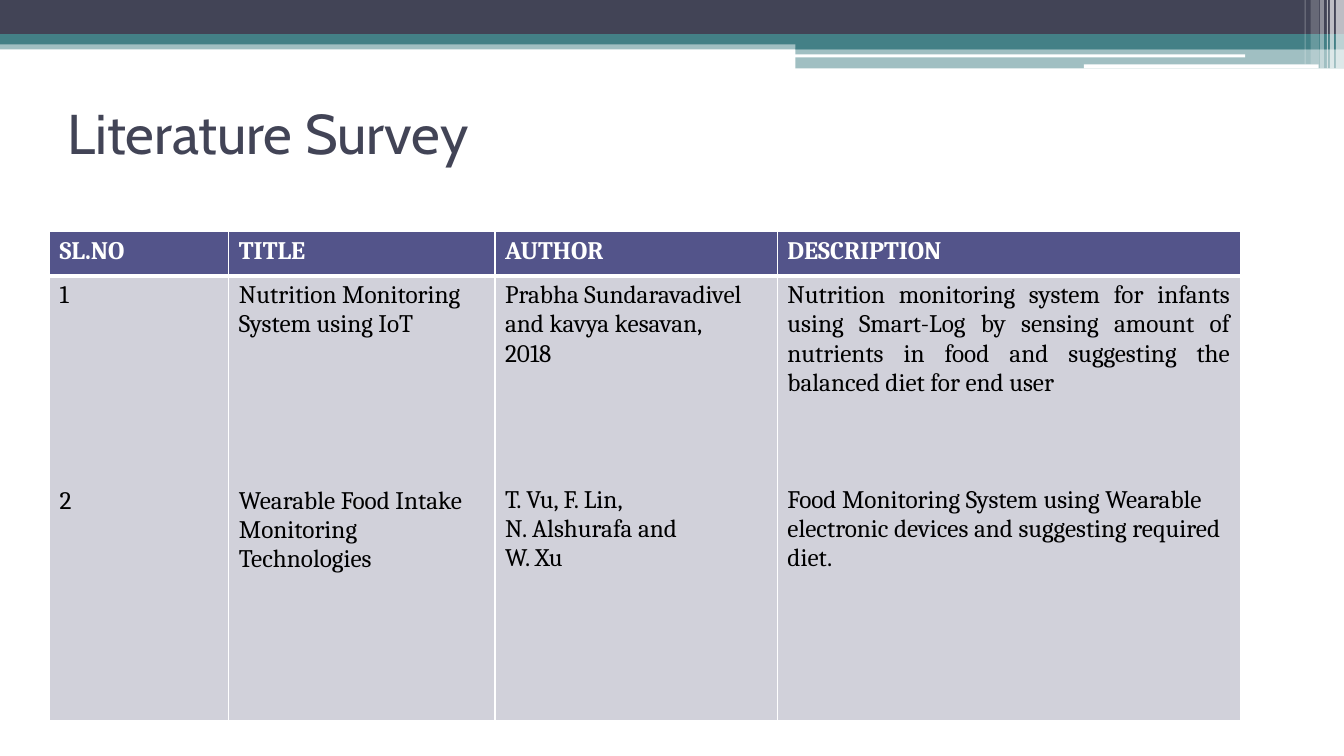
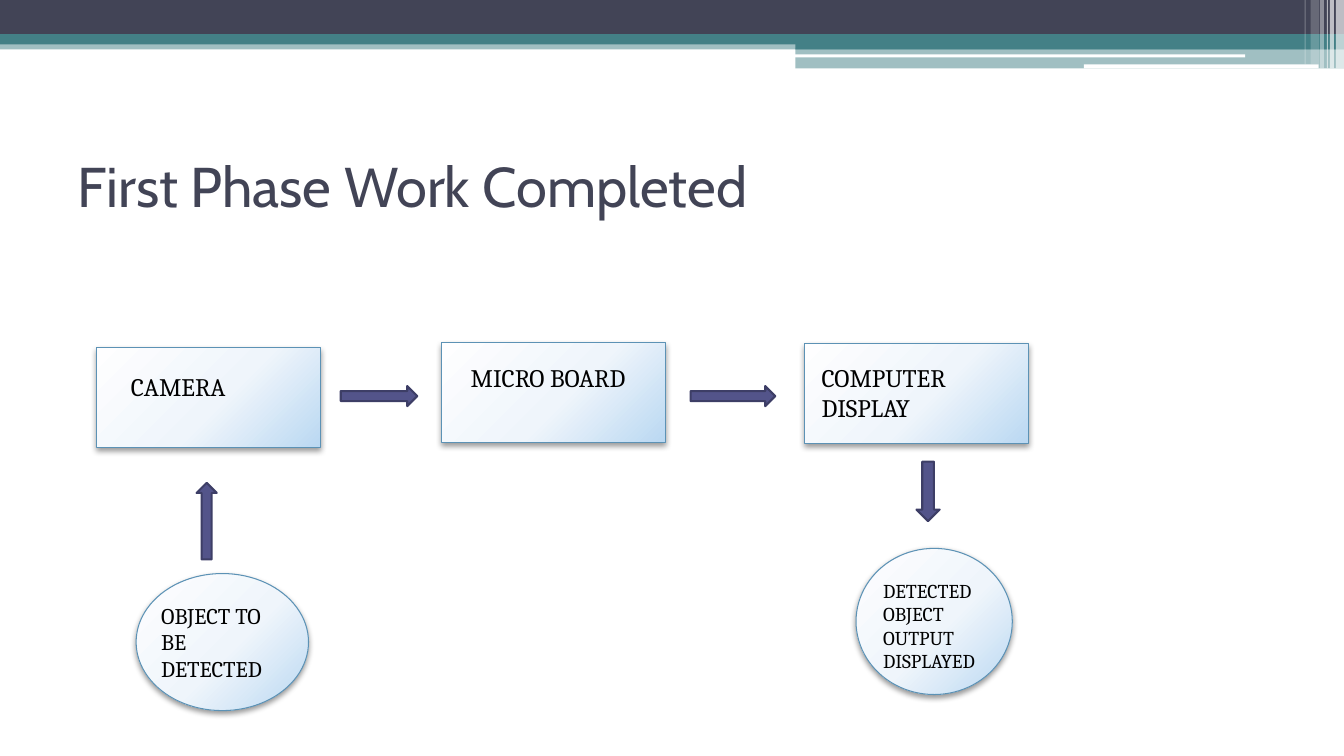
from dataclasses import dataclass

from lxml.etree import SubElement
from pptx import Presentation
from pptx.dml.color import RGBColor
from pptx.enum.shapes import MSO_SHAPE
from pptx.enum.text import MSO_ANCHOR, PP_ALIGN
from pptx.oxml import parse_xml
from pptx.oxml.ns import nsdecls, qn
from pptx.util import Inches, Pt


@dataclass(frozen=True)
class Theme:
    dark: str = "424456"
    teal: str = "438086"
    white: str = "FFFFFF"
    black: str = "000000"
    indigo: str = "53548A"
    indigo_edge: str = "3D3E66"
    cell: str = "D1D1DA"
    node_edge: str = "5C92B5"
    node_stops: tuple = ((0, "FEFEFF"), (55, "EFF5FB"), (100, "BAD8F2"))
    title_font: str = "Cabin"
    body_font: str = "Cambria"
    title: int = 40
    body: int = 18
    small: int = 16
    tiny: int = 14
    line_height: int = 21


T = Theme()
WIDTH, HEIGHT = 13.33, 7.5

# left, top, width, height, colour, opacity in percent
BANDS = [
    (0, 0.4, WIDTH, 0.09, T.teal, 50),
    (0, 0, WIDTH, 0.34, T.dark, 100),
    (0, 0.34, WIDTH, 0.1, T.teal, 100),
    (7.89, 0.39, 5.44, 0.1, T.teal, 100),
    (7.89, 0.48, 5.44, 0.2, T.teal, 50),
    (7.88, 0.54, 4.47, 0.03, T.white, 100),
    (10.75, 0.64, 2.33, 0.04, T.white, 100),
]
# left, width, height, opacity in percent
STRIPES = [
    (13.25, 0.08, 0.68, 65),
    (13.19, 0.04, 0.68, 65),
    (13.16, 0.01, 0.68, 60),
    (13.09, 0.04, 0.68, 40),
    (13, 0.08, 0.64, 20),
    (12.94, 0.01, 0.64, 30),
]

HEADERS = ["SL.NO", "TITLE", "AUTHOR", "DESCRIPTION"]
COLUMNS = [1.78, 2.64, 2.8, 4.59]
ROWS = [0.44, 4.41]
# For each column: first entry, lines it fills, second entry
SURVEY = [
    (["1"], 1, ["2"]),
    (["Nutrition Monitoring System using IoT"], 2,
     ["Wearable Food Intake Monitoring Technologies"]),
    (["Prabha Sundaravadivel and kavya kesavan,", "2018"], 3,
     ["T. Vu, F. Lin,", "N. Alshurafa and", "W. Xu"]),
    (["Nutrition monitoring system for infants using Smart-Log by sensing "
      "amount of nutrients in food and suggesting the balanced diet for end user"], 4,
     ["Food Monitoring System using Wearable electronic devices and "
      "suggesting required diet."]),
]
ENTRY_PITCH = 7  # text lines from the first entry to the second


def rgb(value):
    return RGBColor.from_string(value)


def add_run(p, text, size, color, font=T.body_font, bold=False):
    r = p.add_run()
    r.text = text
    r.font.size, r.font.name, r.font.bold = Pt(size), font, bold
    r.font.color.rgb = rgb(color)


def add_text(s, box, text, size, color=T.black, font=T.body_font, anchor=MSO_ANCHOR.TOP):
    tf = s.shapes.add_textbox(*map(Inches, box)).text_frame
    tf.word_wrap = True
    tf.vertical_anchor = anchor
    add_run(tf.paragraphs[0], text, size, color, font)


def add_block(s, kind, box, color, opacity=100, edge=None):
    sp = s.shapes.add_shape(kind, *map(Inches, box))
    sp.shadow.inherit = False
    sp.fill.solid()
    sp.fill.fore_color.rgb = rgb(color)
    if opacity < 100:
        clr = sp.fill._xPr.find(qn("a:solidFill"))[0]
        SubElement(clr, qn("a:alpha"), val=str(opacity * 1000))
    if edge:
        sp.line.color.rgb = rgb(edge)
        sp.line.width = Pt(1.5)
    else:
        sp.line.fill.background()
    return sp


def add_base(prs, title, left, top):
    """Add a slide with the shared top bands and a title."""
    s = prs.slides.add_slide(prs.slide_layouts[6])
    for *box, color, opacity in BANDS:
        add_block(s, MSO_SHAPE.RECTANGLE, box, color, opacity)
    for x, w, h, opacity in STRIPES:
        add_block(s, MSO_SHAPE.RECTANGLE, (x, 0, w, h), T.white, opacity)
    add_text(s, (left, top, 12, 1.17), title, T.title, T.dark, T.title_font,
             MSO_ANCHOR.MIDDLE)
    return s


def style_cell(cell, color, top, bottom):
    """Set white borders, then the fill, which must follow them in the XML."""
    tcPr = cell._tc.get_or_add_tcPr()
    for side, width in (("L", 1), ("R", 1), ("T", top), ("B", bottom)):
        ln = SubElement(tcPr, qn(f"a:ln{side}"), w=str(Pt(width)))
        fill = SubElement(ln, qn("a:solidFill"))
        SubElement(fill, qn("a:srgbClr"), val=T.white)
    cell.fill.solid()
    cell.fill.fore_color.rgb = rgb(color)


def fill_entries(tf, first, lines, second):
    for i, text in enumerate(first + second):
        p = tf.add_paragraph() if i else tf.paragraphs[0]
        if i == len(first):
            p.space_before = Pt((ENTRY_PITCH - lines) * T.line_height)
        add_run(p, text, T.body, T.black)


def add_survey_table(s, left, top):
    frame = s.shapes.add_table(2, len(COLUMNS), Inches(left), Inches(top),
                               Inches(sum(COLUMNS)), Inches(sum(ROWS)))
    table = frame.table
    table.horz_banding = False
    for row, height in zip(table.rows, ROWS):
        row.height = Inches(height)
    for c, (header, width, entries) in enumerate(zip(HEADERS, COLUMNS, SURVEY)):
        table.columns[c].width = Inches(width)
        head, body = table.cell(0, c), table.cell(1, c)
        style_cell(head, T.indigo, 1, 3)
        style_cell(body, T.cell, 3, 1)
        add_run(head.text_frame.paragraphs[0], header, T.body, T.white, bold=True)
        fill_entries(body.text_frame, *entries)
    table.cell(1, 3).text_frame.paragraphs[0].alignment = PP_ALIGN.JUSTIFY


def add_node(s, kind, box, label, label_box, size=T.body):
    """Add a shaded node; label_box is relative to the node's corner."""
    sp = s.shapes.add_shape(kind, *map(Inches, box))
    sp.line.color.rgb = rgb(T.node_edge)
    sp.line.width = Pt(0.75)
    sp.fill.background()
    spPr = sp._element.spPr
    stops = "".join(f'<a:gs pos="{pos * 1000}"><a:srgbClr val="{c}"/></a:gs>'
                    for pos, c in T.node_stops)
    spPr.replace(spPr.find(qn("a:noFill")), parse_xml(
        f'<a:gradFill {nsdecls("a")} rotWithShape="1"><a:gsLst>{stops}</a:gsLst>'
        '<a:path path="circle"><a:fillToRect l="-40000" t="-90000" r="140000" '
        'b="190000"/></a:path></a:gradFill>'))
    sp.shadow.inherit = False
    spPr.find(qn("a:effectLst")).append(parse_xml(
        f'<a:outerShdw {nsdecls("a")} blurRad="{Pt(4.1)}" dist="{Pt(2)}" dir="5400000" '
        f'rotWithShape="0"><a:srgbClr val="{T.black}"><a:alpha val="40000"/>'
        '</a:srgbClr></a:outerShdw>'))
    dx, dy, w, h = label_box
    add_text(s, (box[0] + dx, box[1] + dy, w, h), label, size)


def add_flow(s, left, top):
    def at(x, y, w, h):
        return left + x, top + y, w, h

    box_size = (2.22, 0.99)
    rect, oval = MSO_SHAPE.RECTANGLE, MSO_SHAPE.OVAL
    add_node(s, rect, at(0, 0.05, *box_size), "CAMERA", (0.24, 0.18, 1.69, 0.4))
    add_node(s, rect, at(3.42, 0, *box_size), "MICRO BOARD", (0.19, 0.14, 1.83, 0.71))
    add_node(s, rect, at(7.02, 0.01, *box_size), "COMPUTER DISPLAY",
             (0.07, 0.13, 1.73, 0.71))
    add_node(s, oval, at(0.39, 2.29, 1.71, 1.36), "OBJECT TO BE DETECTED",
             (0.15, 0.23, 1.42, 0.91), T.small)
    add_node(s, oval, at(7.53, 2.04, 1.55, 1.45), "DETECTED OBJECT OUTPUT DISPLAYED",
             (0.17, 0.25, 1.32, 1.04), T.tiny)
    for kind, box, turn in (
        (MSO_SHAPE.RIGHT_ARROW, (2.42, 0.43, 0.76, 0.2), 0),
        (MSO_SHAPE.RIGHT_ARROW, (5.89, 0.43, 0.84, 0.2), 0),
        (MSO_SHAPE.RIGHT_ARROW, (0.71, 1.67, 0.76, 0.2), 270),
        (MSO_SHAPE.DOWN_ARROW, (8.13, 1.18, 0.23, 0.59), 0),
    ):
        add_block(s, kind, at(*box), T.indigo, edge=T.indigo_edge).rotation = turn


def main():
    prs = Presentation()
    prs.slide_width, prs.slide_height = Inches(WIDTH), Inches(HEIGHT)
    add_survey_table(add_base(prs, "Literature Survey", 0.57, 0.73), 0.49, 2.3)
    add_flow(add_base(prs, "First Phase Work Completed", 0.67, 1.25), 0.96, 3.4)
    prs.save("out.pptx")


if __name__ == "__main__":
    main()
